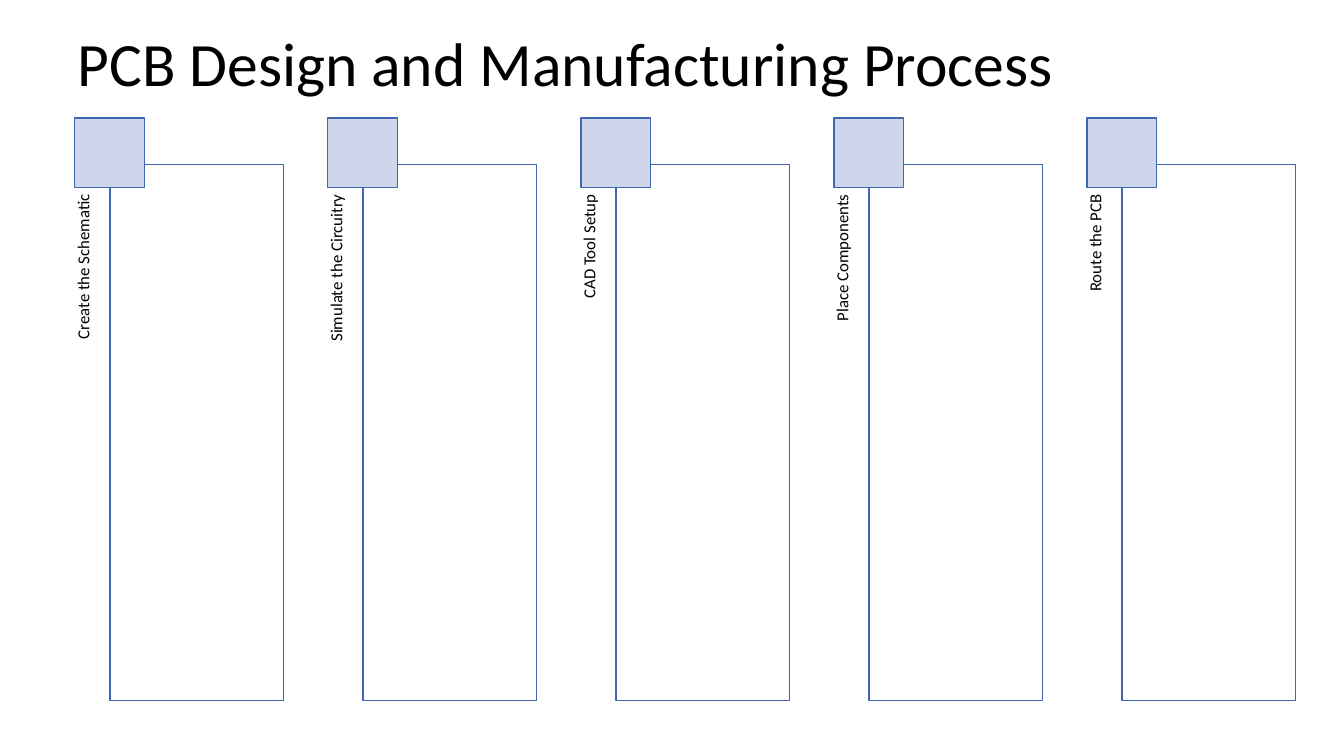
from pptx import Presentation
from pptx.dml.color import RGBColor
from pptx.enum.shapes import MSO_SHAPE as Shape
from pptx.enum.text import MSO_ANCHOR as Anchor, PP_ALIGN as Align
from pptx.util import Pt

TITLE = "PCB Design and Manufacturing Process"
STEPS = [
    "Create the Schematic",
    "Simulate the Circuitry",
    "CAD Tool Setup",
    "Place Components",
    "Route the PCB",
]
COLORS = {"text": "000000", "outline": "3E67B2", "card": "FFFFFF", "tab": "CFD5EA"}
FONT = "Calibri"

CARD_LEFT, CARD_TOP, CARD_WIDTH, CARD_HEIGHT = 78.5, 117.3, 124, 383
TAB_TOP, TAB_SIZE, TAB_OVERHANG = 84.2, 49.8, 25.1
LABEL_HEIGHT = 25.1
STEP_PITCH = 180.75


def color(name):
    return RGBColor.from_string(COLORS[name])


def write(frame, text, size, align=Align.LEFT, anchor=Anchor.TOP, margins=None):
    """Fill a text frame; margins are left, top, right, bottom in points."""
    frame.word_wrap = True
    frame.vertical_anchor = anchor
    if margins:
        (frame.margin_left, frame.margin_top,
         frame.margin_right, frame.margin_bottom) = map(Pt, margins)
    paragraph = frame.paragraphs[0]
    paragraph.alignment = align
    paragraph.line_spacing = 0.9
    run = paragraph.add_run()
    run.text = text
    run.font.name = FONT
    run.font.size = Pt(size)
    run.font.color.rgb = color("text")


def add_box(shapes, left, top, width, height, fill):
    box = shapes.add_shape(Shape.RECTANGLE, Pt(left), Pt(top), Pt(width), Pt(height))
    box.shadow.inherit = False
    box.fill.solid()
    box.fill.fore_color.rgb = color(fill)
    box.line.color.rgb = color("outline")
    box.line.width = Pt(1)


def add_label(shapes, text, card_left):
    """Add a label that reads upwards along the left edge of its card."""
    center_x = card_left - LABEL_HEIGHT / 2
    center_y = CARD_TOP + CARD_HEIGHT / 2
    label = shapes.add_textbox(
        Pt(center_x - CARD_HEIGHT / 2), Pt(center_y - LABEL_HEIGHT / 2),
        Pt(CARD_HEIGHT), Pt(LABEL_HEIGHT))
    label.rotation = 270
    write(label.text_frame, text, 12, align=Align.RIGHT, margins=(0, 0, 21.6, 0))


def main():
    deck = Presentation()
    deck.slide_width, deck.slide_height = Pt(960), Pt(540)
    slide = deck.slides.add_slide(deck.slide_layouts[5])

    title = slide.shapes.title
    title.left, title.top, title.width, title.height = map(Pt, (48.2, -5, 828, 104.4))
    write(title.text_frame, TITLE, 44, anchor=Anchor.MIDDLE)

    for index, step in enumerate(STEPS):
        card_left = CARD_LEFT + index * STEP_PITCH
        group = slide.shapes.add_group_shape()
        add_label(group.shapes, step, card_left)
        add_box(group.shapes, card_left, CARD_TOP, CARD_WIDTH, CARD_HEIGHT, "card")
        add_box(group.shapes, card_left - TAB_OVERHANG, TAB_TOP, TAB_SIZE, TAB_SIZE, "tab")

    deck.save("out.pptx")


if __name__ == "__main__":
    main()
